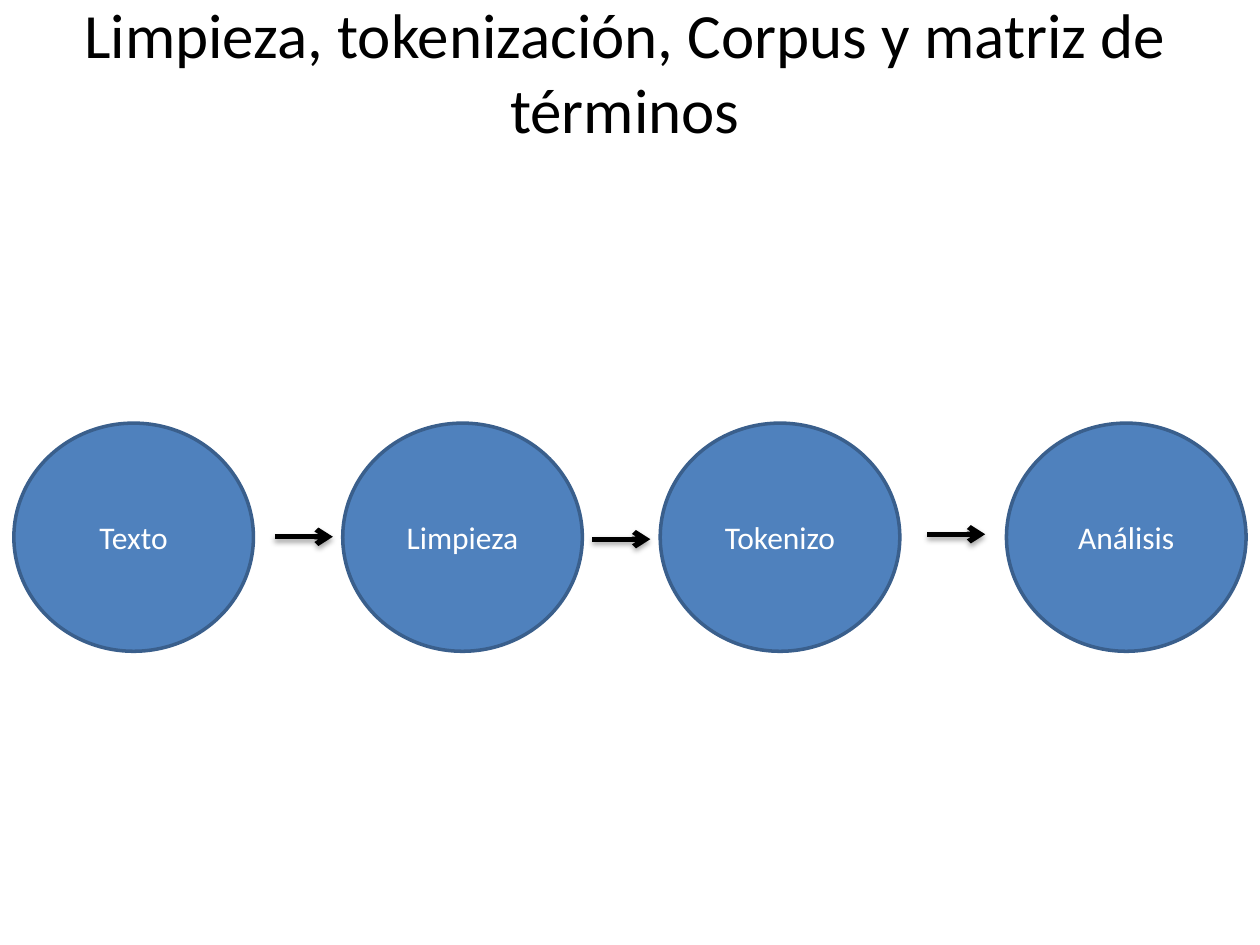
from lxml.etree import SubElement
from pptx import Presentation
from pptx.dml.color import RGBColor
from pptx.enum.shapes import MSO_CONNECTOR, MSO_SHAPE
from pptx.enum.text import MSO_ANCHOR, PP_ALIGN
from pptx.oxml.ns import qn
from pptx.util import Cm, Pt

BLUE = RGBColor(0x4F, 0x81, 0xBD)
DARK_BLUE = RGBColor(0x3A, 0x5F, 0x8C)
BLACK = RGBColor(0, 0, 0)
WHITE = RGBColor(0xFF, 0xFF, 0xFF)

STAGE_TOP, STAGE_WIDTH, STAGE_HEIGHT = 8.53, 4.83, 4.6
ARROW_LENGTH = 1.17
STAGES = [("Texto", 0.28), ("Limpieza", 6.91), ("Tokenizo", 13.31), ("Análisis", 20.29)]
ARROWS = [(5.54, 10.82), (11.94, 10.87), (18.69, 10.77)]


class FlowSlide:
    font = "Calibri"

    def __init__(self, page):
        self.page = page

    def add_text(self, shape, text, size, color):
        frame = shape.text_frame
        frame.word_wrap = True
        frame.vertical_anchor = MSO_ANCHOR.MIDDLE
        para = frame.paragraphs[0]
        para.alignment = PP_ALIGN.CENTER
        span = para.add_run()
        span.text = text
        span.font.name = self.font
        span.font.size = Pt(size)
        span.font.color.rgb = color

    def title(self, text):
        box = self.page.shapes.add_textbox(Cm(0.1), Cm(0.13), Cm(25), Cm(2.59))
        self.add_text(box, text, 36, BLACK)

    def stage(self, text, left):
        circle = self.page.shapes.add_shape(
            MSO_SHAPE.OVAL, Cm(left), Cm(STAGE_TOP), Cm(STAGE_WIDTH), Cm(STAGE_HEIGHT))
        circle.shadow.inherit = False
        circle.fill.solid()
        circle.fill.fore_color.rgb = BLUE
        circle.line.color.rgb = DARK_BLUE
        circle.line.width = Pt(2)
        self.add_text(circle, text, 18, WHITE)

    def arrow(self, left, top):
        """Draw a rightward arrow with a soft shadow below it."""
        arrow = self.page.shapes.add_connector(
            MSO_CONNECTOR.STRAIGHT, Cm(left), Cm(top), Cm(left + ARROW_LENGTH), Cm(top))
        arrow.line.color.rgb = BLACK
        arrow.line.width = Pt(3)
        properties = arrow.element.spPr
        SubElement(properties.find(qn("a:ln")), qn("a:tailEnd"), type="arrow")
        effects = SubElement(properties, qn("a:effectLst"))
        shadow = SubElement(effects, qn("a:outerShdw"), blurRad=str(Pt(3.1)),
                            dist=str(Pt(1.8)), dir="5400000", rotWithShape="0")
        color = SubElement(shadow, qn("a:srgbClr"), val=str(BLACK))
        SubElement(color, qn("a:alpha"), val="35000")


def main():
    deck = Presentation()
    deck.slide_width, deck.slide_height = Cm(25.4), Cm(19.05)
    slide = FlowSlide(deck.slides.add_slide(deck.slide_layouts[6]))
    for text, left in STAGES:
        slide.stage(text, left)
    for left, top in ARROWS:
        slide.arrow(left, top)
    slide.title("Limpieza, tokenización, Corpus y matriz de términos")
    deck.save("out.pptx")


if __name__ == "__main__":
    main()
